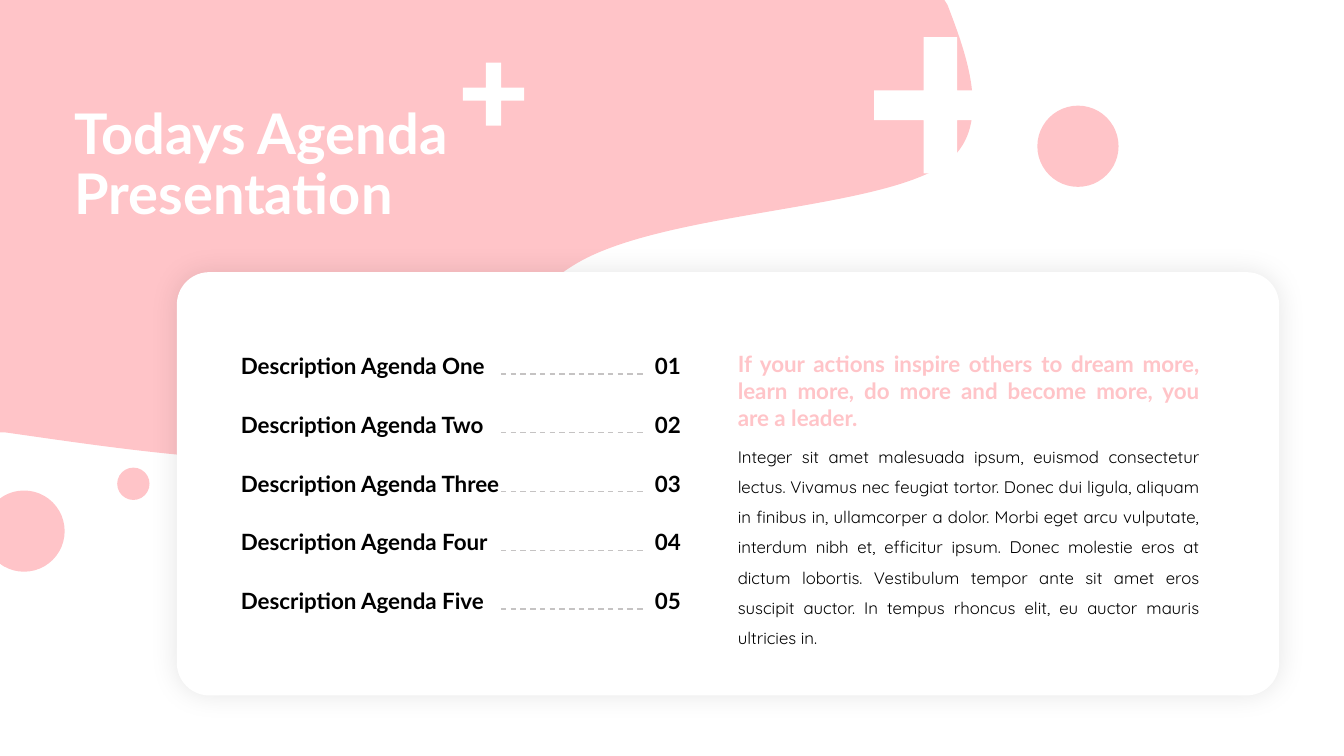
from lxml import etree
from pptx import Presentation
from pptx.dml.color import RGBColor
from pptx.enum import dml, shapes, text
from pptx.oxml import parse_xml
from pptx.oxml.ns import nsdecls, qn
from pptx.util import Pt

COLORS = {"pink": "FFC4C8", "white": "FFFFFF", "black": "000000", "gray": "C5C3C3"}
HEADING_FONT, BODY_FONT = "Lato", "Quicksand"

TITLE = "Todays Agenda Presentation"
AGENDA = [
    ("Description Agenda One", "01"),
    ("Description Agenda Two", "02"),
    ("Description Agenda Three", "03"),
    ("Description Agenda Four", "04"),
    ("Description Agenda Five", "05"),
]
QUOTE = (
    "If your actions inspire others to dream more, learn more, "
    "do more and become more, you are a leader."
)
BODY = (
    "Integer sit amet malesuada ipsum, euismod consectetur lectus. Vivamus nec feugiat "
    "tortor. Donec dui ligula, aliquam in finibus in, ullamcorper a dolor. Morbi eget arcu "
    "vulputate, interdum nibh et, efficitur ipsum. Donec molestie eros at dictum lobortis. "
    "Vestibulum tempor ante sit amet eros suscipit auctor. In tempus rhoncus elit, eu auctor "
    "mauris ultricies in."
)

# Each step holds one point for a straight line or three for a Bezier curve.
BLOB_START = (197.3, 329)
BLOB_STEPS = [
    [(131.8, 328.3), (50.4, 315.4), (3.6, 308.9)],
    [(0, 308.9)],
    [(0, 0)],
    [(674.6, 0)],
    [(676.8, 3.6)],
    [(689.8, 37.4), (709.2, 88.6), (678.2, 114.5)],
    [(637.2, 149), (488.2, 149.8), (419, 184.3)],
    [(350.6, 218.9), (338.4, 302.4), (265.7, 322.6)],
    [(247, 327.6), (223.2, 329), BLOB_START],
]
BLOB_WIDTH = 694.8  # the right-hand curve bulges past its end points
# Left, top, width, height, thickness of the upright bar, thickness of the crossbar
PLUSES = [(624.4, 26.6, 94.7, 97.2, 24, 21.4), (330.6, 44.8, 43.8, 45, 10.8, 9.4)]
# Left, top, diameter
CIRCLES = [(741, 75.5, 58), (83.7, 334, 23.1), (-11.8, 350.4, 58)]

CARD = (126.3, 194.4, 787.4, 302.4)
ROW_TOP, ROW_PITCH, ROW_HEIGHT = 247.8, 42, 26.6
LABEL_LEFT, LABEL_WIDTH = 165, 205
NUMBER_LEFT, NUMBER_WIDTH = 460.8, 36
DASH_LEFT, DASH_RIGHT, DASH_TOP, DASH_PITCH = 357.8, 459.4, 267.2, 41.95
COLUMN_LEFT, COLUMN_WIDTH = 519.9, 344.2


def color(name):
    return RGBColor.from_string(COLORS[name])


def paint(shape, fill):
    shape.shadow.inherit = False
    shape.fill.solid()
    shape.fill.fore_color.rgb = color(fill)
    shape.line.fill.background()


def add_outline(slide, points, fill):
    points = [(Pt(x), Pt(y)) for x, y in points]
    builder = slide.shapes.build_freeform(*points[0])
    builder.add_line_segments(points[1:], close=True)
    shape = builder.convert_to_shape()
    paint(shape, fill)
    return shape


def add_blob(slide):
    """Draw the outline through its end points, then bend the curved steps."""
    ends = [BLOB_START] + [step[-1] for step in BLOB_STEPS]
    blob = add_outline(slide, ends, "pink")
    blob.width = Pt(BLOB_WIDTH)
    outline = next(blob._element.iter(qn("a:path")))
    outline.set("w", str(Pt(BLOB_WIDTH)))
    for line, step in zip(outline.findall(qn("a:lnTo")), BLOB_STEPS):
        if len(step) == 3:
            curve = etree.Element(qn("a:cubicBezTo"))
            for x, y in step:
                etree.SubElement(curve, qn("a:pt"), x=str(Pt(x)), y=str(Pt(y)))
            outline.replace(line, curve)


def plus_points(left, top, width, height, upright, crossbar):
    right, bottom = left + width, top + height
    x1, x2 = left + (width - upright) / 2, left + (width + upright) / 2
    y1, y2 = top + (height - crossbar) / 2, top + (height + crossbar) / 2
    return [
        (x1, top), (x2, top), (x2, y1), (right, y1), (right, y2), (x2, y2), (x2, bottom),
        (x1, bottom), (x1, y2), (left, y2), (left, y1), (x1, y1), (x1, top),
    ]


def add_preset(slide, preset, box, fill):
    shape = slide.shapes.add_shape(preset, *map(Pt, box))
    paint(shape, fill)
    return shape


def write(frame, content, size, fill, font=HEADING_FONT, bold=True):
    frame.word_wrap = True
    paragraph = frame.paragraphs[0]
    run = paragraph.add_run()
    run.text = content
    run.font.name, run.font.size, run.font.bold = font, Pt(size), bold
    run.font.color.rgb = color(fill)
    return paragraph


def add_text(slide, box, content, size, fill, **style):
    frame = slide.shapes.add_textbox(*map(Pt, box)).text_frame
    paragraph = write(frame, content, size, fill, **style)
    frame.auto_size = text.MSO_AUTO_SIZE.SHAPE_TO_FIT_TEXT
    return frame, paragraph


def add_card(slide):
    card = add_preset(slide, shapes.MSO_SHAPE.ROUNDED_RECTANGLE, CARD, "white")
    card.adjustments[0] = 0.077
    effects = card._element.spPr.find(qn("a:effectLst"))
    effects.append(parse_xml(
        f'<a:outerShdw {nsdecls("a")} blurRad="{Pt(20)}" dist="0" dir="0" algn="ctr" '
        f'rotWithShape="0"><a:srgbClr val="{COLORS["black"]}"><a:alpha val="10000"/>'
        "</a:srgbClr></a:outerShdw>"
    ))


def add_agenda_row(slide, index, label, number):
    top = ROW_TOP + index * ROW_PITCH
    for left, width, content in (
        (LABEL_LEFT, LABEL_WIDTH, label),
        (NUMBER_LEFT, NUMBER_WIDTH, number),
    ):
        box = (left, top, width, ROW_HEIGHT)
        frame, _ = add_text(slide, box, content, 16, "black")
        frame.vertical_anchor = text.MSO_ANCHOR.MIDDLE
    y = Pt(DASH_TOP + index * DASH_PITCH)
    dash = slide.shapes.add_connector(
        shapes.MSO_CONNECTOR.STRAIGHT, Pt(DASH_LEFT), y, Pt(DASH_RIGHT), y
    )
    dash.line.color.rgb = color("gray")
    dash.line.width = Pt(1)
    dash.line.dash_style = dml.MSO_LINE.DASH
    etree.SubElement(dash._element.spPr, qn("a:effectLst"))


def add_title(slide):
    title = slide.shapes.title
    title.left, title.top, title.width, title.height = map(Pt, (46, 66.7, 365.8, 104.4))
    title.text_frame.vertical_anchor = text.MSO_ANCHOR.MIDDLE
    paragraph = write(title.text_frame, TITLE, 40, "white")
    paragraph.alignment = text.PP_ALIGN.LEFT
    paragraph.line_spacing = 0.9
    slide.shapes._spTree.append(title._element)  # bring in front of the blob


def main():
    presentation = Presentation()
    presentation.slide_width, presentation.slide_height = Pt(960), Pt(540)
    slide = presentation.slides.add_slide(presentation.slide_layouts[5])
    slide.background.fill.solid()
    slide.background.fill.fore_color.rgb = color("white")

    add_blob(slide)
    for plus in PLUSES:
        add_outline(slide, plus_points(*plus), "white")
    add_card(slide)
    for index, (label, number) in enumerate(AGENDA):
        add_agenda_row(slide, index, label, number)

    body_box = (COLUMN_LEFT, 308, COLUMN_WIDTH, 135.4)
    _, body = add_text(slide, body_box, BODY, 12, "black", font=BODY_FONT, bold=False)
    body.line_spacing = 1.5
    quote_box = (COLUMN_LEFT, 246.8, COLUMN_WIDTH, 65.5)
    _, quote = add_text(slide, quote_box, QUOTE, 16, "pink")
    for paragraph in (body, quote):
        paragraph.alignment = text.PP_ALIGN.JUSTIFY

    for left, top, diameter in CIRCLES:
        add_preset(slide, shapes.MSO_SHAPE.OVAL, (left, top, diameter, diameter), "pink")
    add_title(slide)
    presentation.save("out.pptx")


if __name__ == "__main__":
    main()
